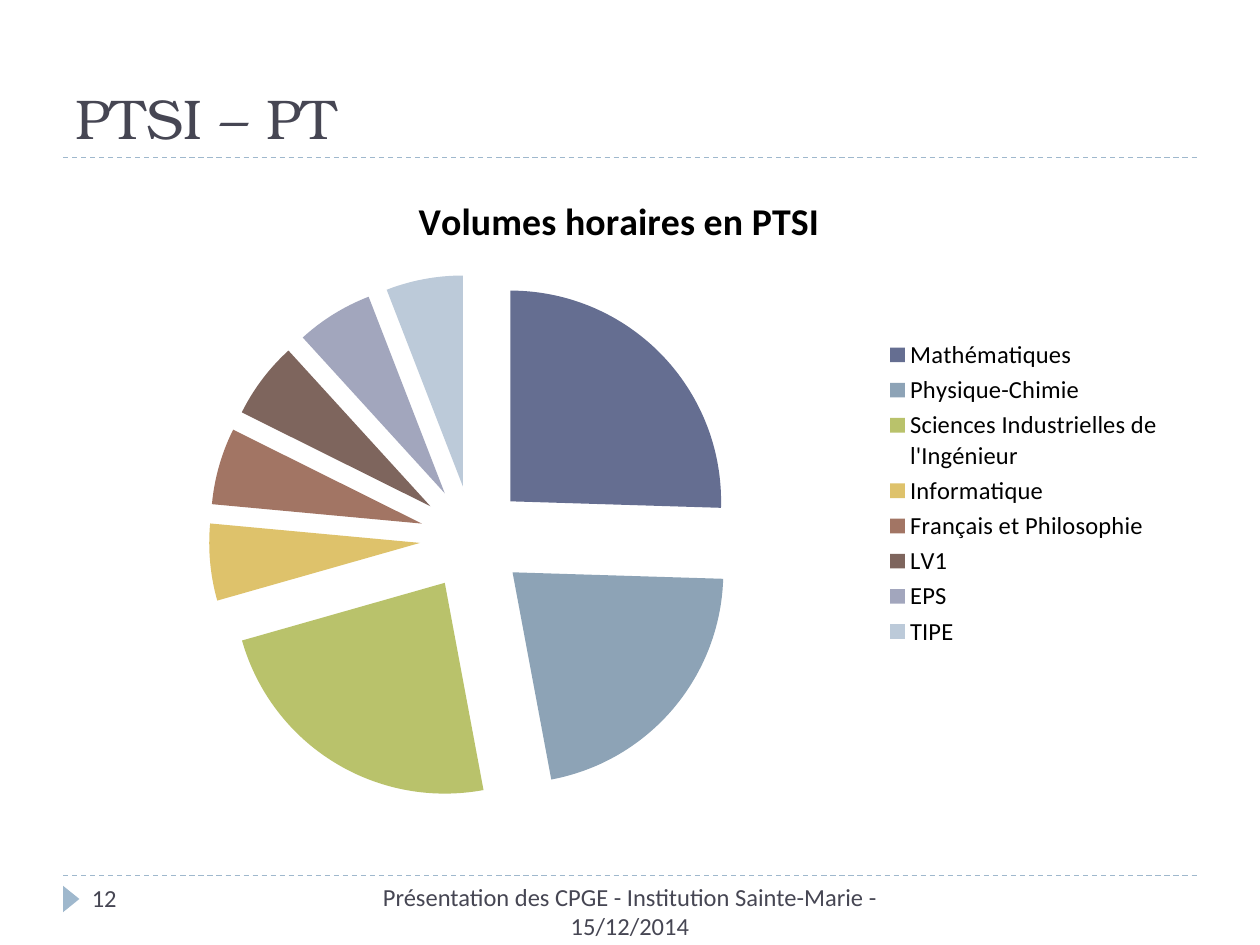
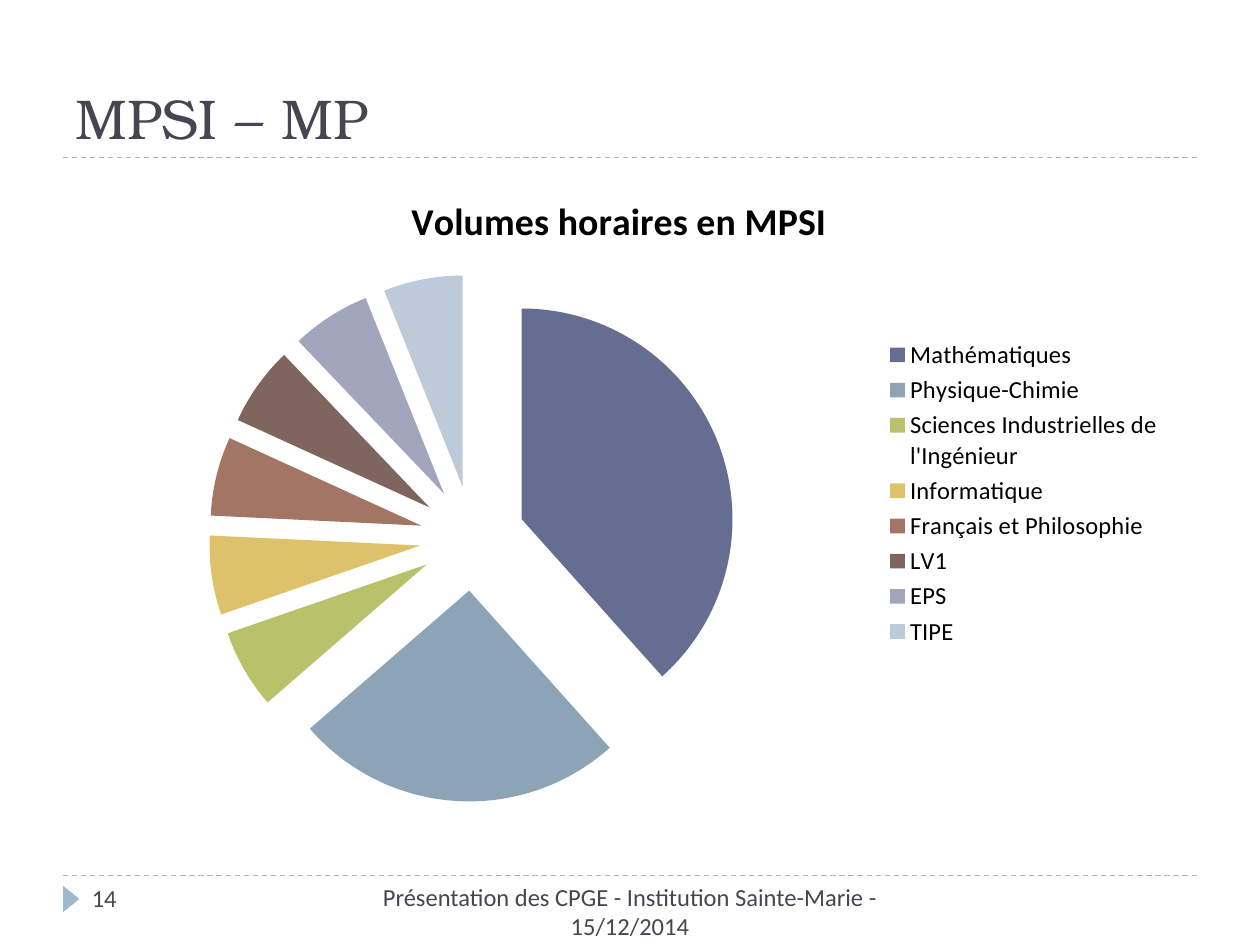
from dataclasses import dataclass

from pptx import Presentation
from pptx.chart.data import CategoryChartData
from pptx.dml.color import RGBColor
from pptx.enum.chart import XL_CHART_TYPE, XL_LEGEND_POSITION
from pptx.enum.dml import MSO_LINE
from pptx.enum.shapes import MSO_CONNECTOR, MSO_SHAPE
from pptx.enum.text import MSO_ANCHOR, PP_ALIGN
from pptx.oxml.ns import qn
from pptx.slide import Slide
from pptx.text.text import TextFrame
from pptx.util import Pt
from lxml.etree import Element, SubElement


@dataclass(frozen=True)
class Theme:
    title_font: str = "TeX Gyre Bonum"
    body_font: str = "Calibri"
    title_size: float = 32
    chart_title_size: float = 21.6
    chart_size: float = 18
    small_size: float = 14
    ink: str = "464653"
    chart_ink: str = "000000"
    accent: str = "9FB8CD"
    slices: tuple[str, ...] = ("656E91", "8DA3B6", "B9C26B", "DEC26B",
                               "A27564", "7E655D", "A2A6BD", "BCCAD9")


@dataclass(frozen=True)
class Box:
    left: float
    top: float
    width: float
    height: float

    def lengths(self) -> tuple[Pt, Pt, Pt, Pt]:
        return Pt(self.left), Pt(self.top), Pt(self.width), Pt(self.height)


@dataclass(frozen=True)
class CourseSlide:
    title: str
    chart_title: str
    hours: tuple[int, ...]
    number: str


THEME = Theme()
MARGIN, RIGHT = 36, 684
RULES = (90, 500.4)
TITLE_BOX = Box(MARGIN, 12.24, 648, 77.76)
CHART_BOX = Box(MARGIN, 95.76, 635.76, 372.24)
FOOTER_BOX = Box(190, 500.4, 340, 28.8)
NUMBER_BOX = Box(45.36, 501.12, 156, 28.8)
MARKER_BOX = Box(33.12, 509.04, 15.12, 9.36)
FOOTER = "Présentation des CPGE - Institution Sainte-Marie - 15/12/2014"
SUBJECTS = ("Mathématiques", "Physique-Chimie",
            "Sciences Industrielles de l'Ingénieur", "Informatique",
            "Français et Philosophie", "LV1", "EPS", "TIPE")
EXPLOSION = 25
COURSES = (
    CourseSlide("PTSI – PT", "Volumes horaires en PTSI",
                (26, 22, 24, 6, 6, 6, 6, 6), "12"),
    CourseSlide("MPSI – MP", "Volumes horaires en MPSI",
                (38, 25, 6, 6, 6, 6, 6, 6), "14"),
)


def rgb(color: str) -> RGBColor:
    return RGBColor.from_string(color)


def style_font(font, name: str, size: float, color: str, bold: bool = False) -> None:
    font.name, font.size, font.bold = name, Pt(size), bold
    font.color.rgb = rgb(color)


def write(tf: TextFrame, text: str, name: str, size: float, color: str,
          align: PP_ALIGN = PP_ALIGN.LEFT, bold: bool = False) -> None:
    p = tf.paragraphs[0]
    p.alignment = align
    r = p.add_run()
    r.text = text
    style_font(r.font, name, size, color, bold)


def add_rule(s: Slide, y: float) -> None:
    line = s.shapes.add_connector(MSO_CONNECTOR.STRAIGHT,
                                  Pt(MARGIN), Pt(y), Pt(RIGHT), Pt(y))
    line.line.color.rgb = rgb(THEME.accent)
    line.line.width = Pt(0.75)
    line.line.dash_style = MSO_LINE.DASH
    SubElement(line._element.spPr, qn("a:effectLst"))


def add_note(s: Slide, box: Box, text: str, align: PP_ALIGN) -> None:
    """Add small text at the foot of the slide."""
    tf = s.shapes.add_textbox(*box.lengths()).text_frame
    tf.word_wrap = True
    write(tf, text, THEME.body_font, THEME.small_size, THEME.ink, align)


def add_frame(s: Slide, title: str, number: str) -> None:
    """Add the title, rules, marker and footer that every slide has."""
    for y in RULES:
        add_rule(s, y)
    marker = s.shapes.add_shape(MSO_SHAPE.ISOSCELES_TRIANGLE, *MARKER_BOX.lengths())
    marker.rotation = 90
    marker.shadow.inherit = False
    marker.fill.solid()
    marker.fill.fore_color.rgb = rgb(THEME.accent)
    marker.line.fill.background()

    sp = s.shapes.title
    sp.left, sp.top, sp.width, sp.height = TITLE_BOX.lengths()
    sp.text_frame.vertical_anchor = MSO_ANCHOR.BOTTOM
    write(sp.text_frame, title, THEME.title_font, THEME.title_size, THEME.ink)
    add_note(s, FOOTER_BOX, FOOTER, PP_ALIGN.CENTER)
    add_note(s, NUMBER_BOX, number, PP_ALIGN.LEFT)


def add_hours_pie(s: Slide, title: str, hours: tuple[int, ...]) -> None:
    data = CategoryChartData()
    data.categories = SUBJECTS
    data.add_series("Series 1", hours)
    chart = s.shapes.add_chart(XL_CHART_TYPE.PIE, *CHART_BOX.lengths(), data).chart
    style_font(chart.font, THEME.body_font, THEME.chart_size, THEME.chart_ink)
    chart.has_title = True
    write(chart.chart_title.text_frame, title, THEME.body_font,
          THEME.chart_title_size, THEME.chart_ink, PP_ALIGN.CENTER, bold=True)
    chart.chart_title.include_in_layout = False
    chart.has_legend = True
    chart.legend.position = XL_LEGEND_POSITION.RIGHT
    chart.legend.include_in_layout = False
    style_font(chart.legend.font, THEME.body_font, THEME.small_size, THEME.chart_ink)

    plot = chart.plots[0]
    plot.vary_by_categories = True
    series = plot.series[0]
    for i, color in enumerate(THEME.slices):
        fill = series.points[i].format.fill
        fill.solid()
        fill.fore_color.rgb = rgb(color)
    explosion = Element(qn("c:explosion"), val=str(EXPLOSION))
    series._element.find(qn("c:dPt")).addprevious(explosion)


def main() -> None:
    prs = Presentation()
    prs.slide_width, prs.slide_height = Pt(720), Pt(540)
    for course in COURSES:
        s = prs.slides.add_slide(prs.slide_layouts[5])
        add_frame(s, course.title, course.number)
        add_hours_pie(s, course.chart_title, course.hours)
    prs.save("out.pptx")


if __name__ == "__main__":
    main()
